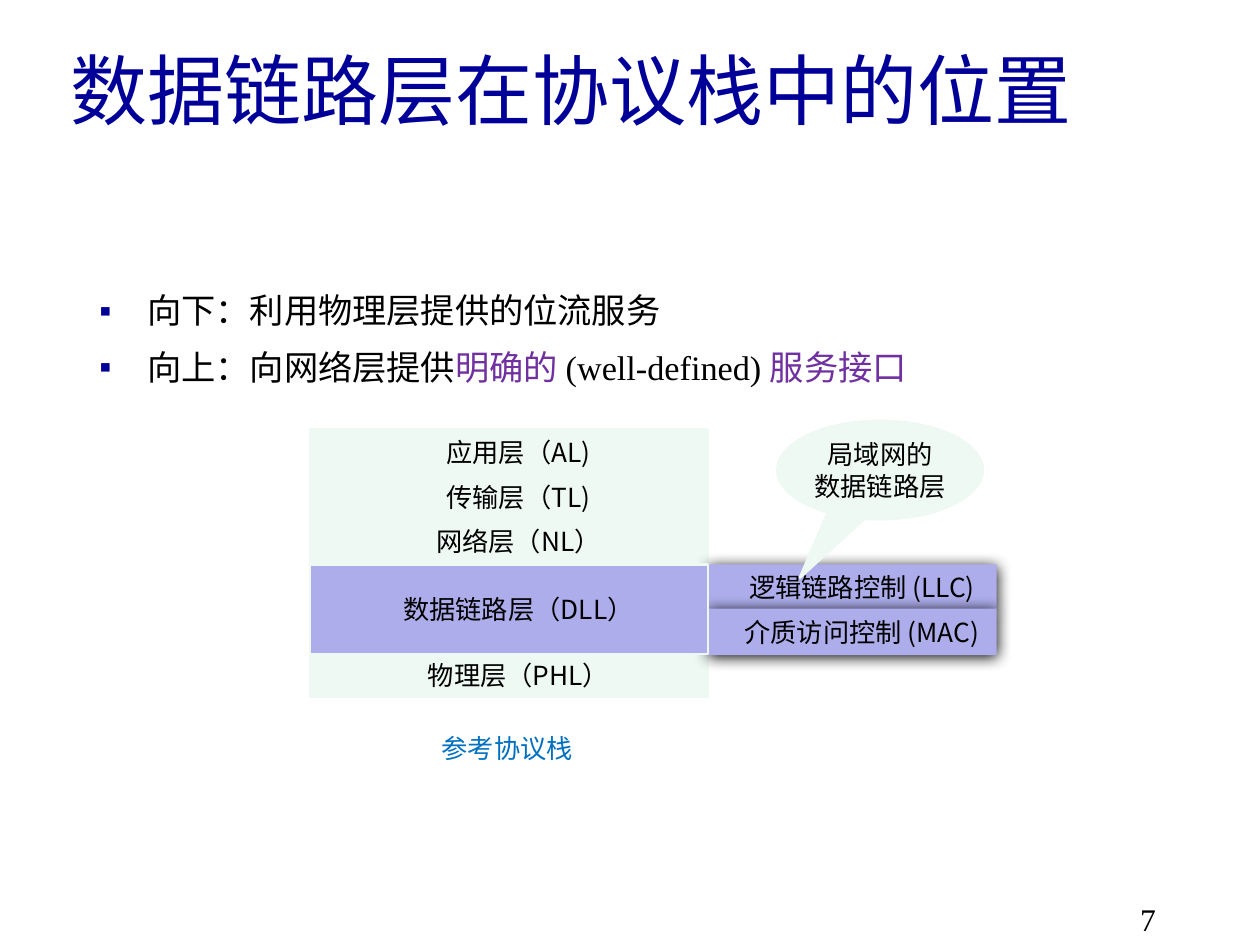
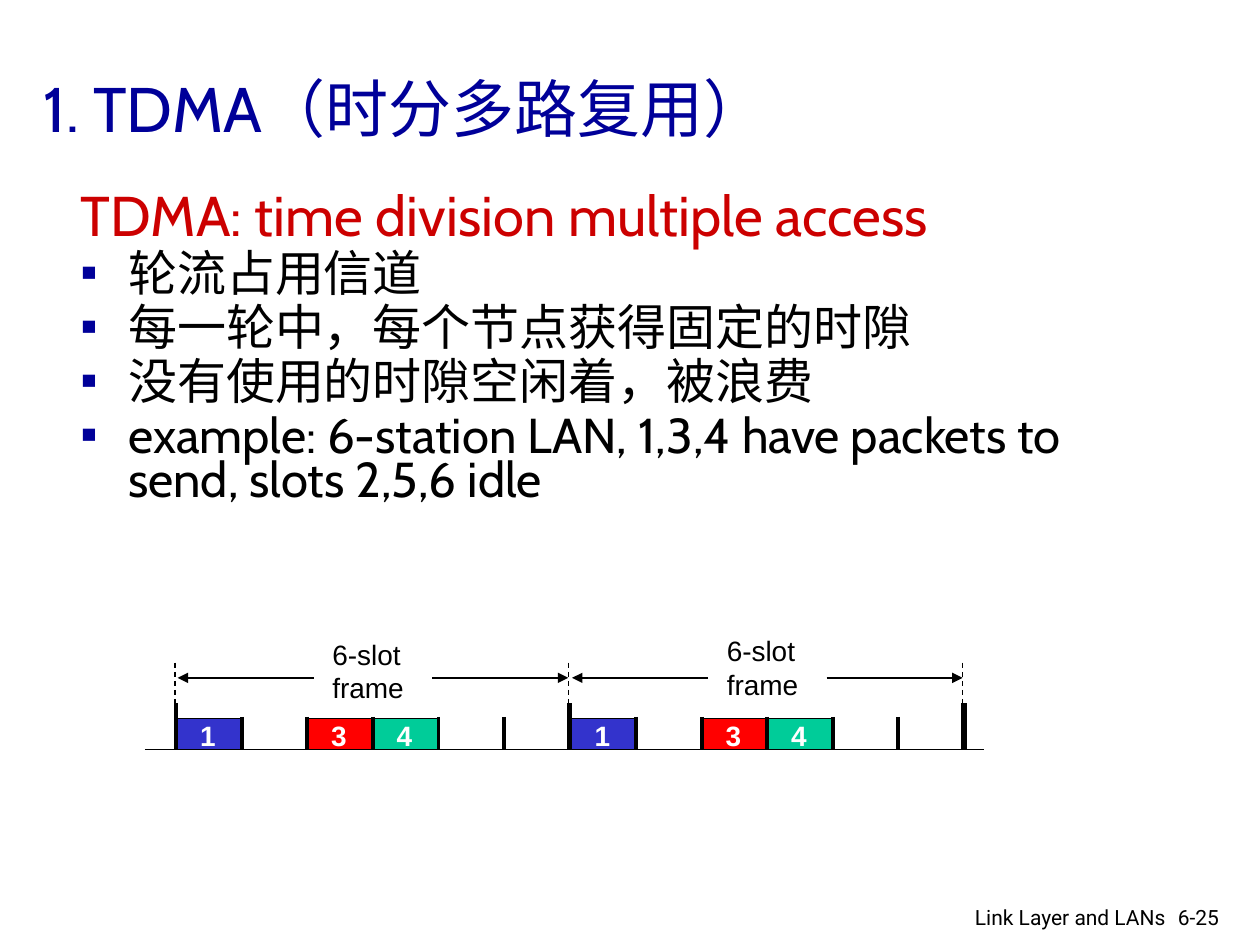
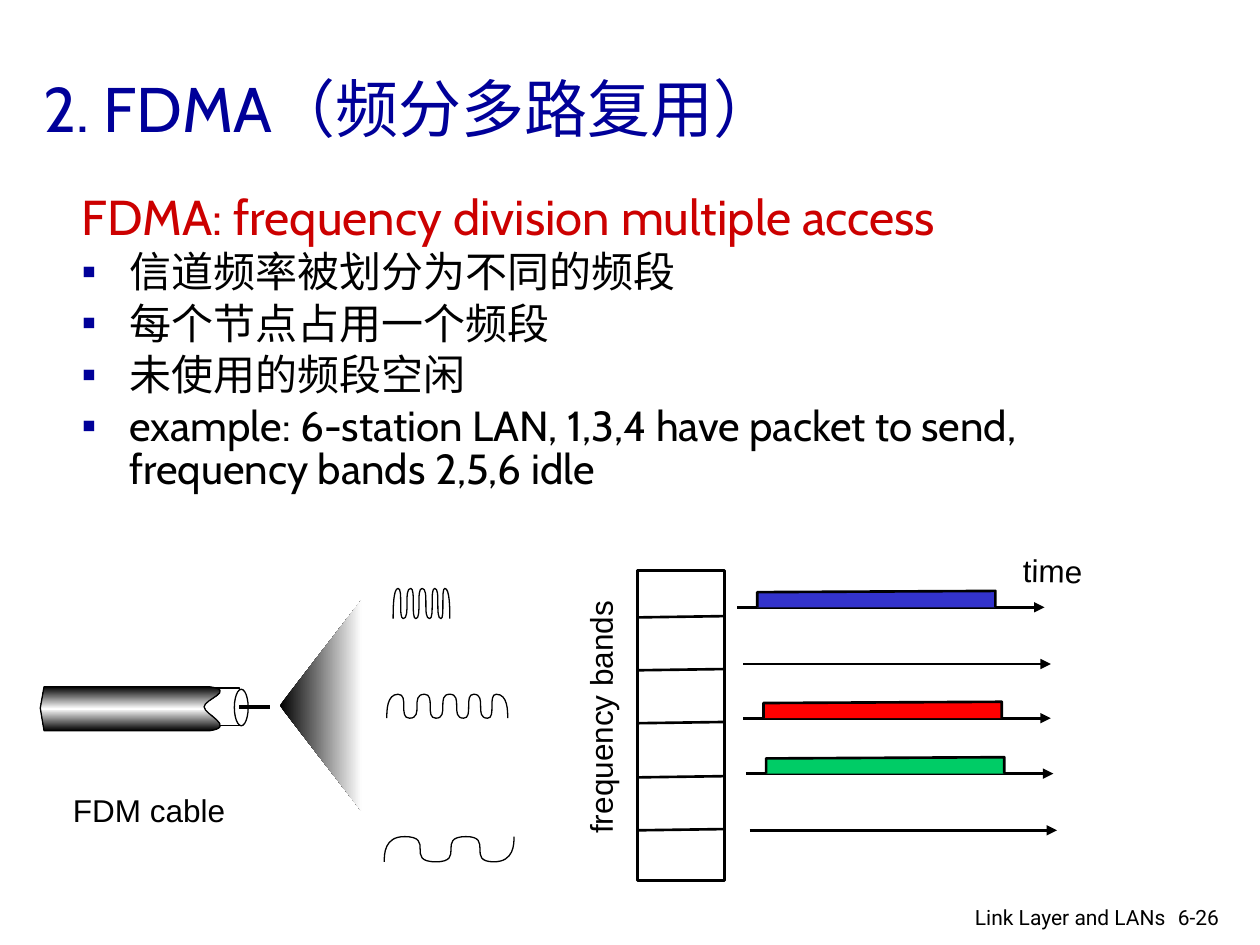
from copy import deepcopy

from lxml import etree
from pptx import Presentation
from pptx.dml.color import RGBColor
from pptx.enum.dml import MSO_LINE
from pptx.enum.shapes import MSO_CONNECTOR, MSO_SHAPE
from pptx.enum.text import MSO_ANCHOR, MSO_AUTO_SIZE, PP_ALIGN
from pptx.oxml.ns import qn
from pptx.util import Inches, Pt

RECT, OVAL = MSO_SHAPE.RECTANGLE, MSO_SHAPE.OVAL
CALLOUT = MSO_SHAPE.OVAL_CALLOUT
STRAIGHT, DASH = MSO_CONNECTOR.STRAIGHT, MSO_LINE.DASH
LEFT, CENTER, RIGHT = PP_ALIGN.LEFT, PP_ALIGN.CENTER, PP_ALIGN.RIGHT
TOP, MIDDLE = MSO_ANCHOR.TOP, MSO_ANCHOR.MIDDLE
FIT = MSO_AUTO_SIZE.SHAPE_TO_FIT_TEXT

BLACK = RGBColor(0x00, 0x00, 0x00)
WHITE = RGBColor(0xFF, 0xFF, 0xFF)
NAVY = RGBColor(0x00, 0x00, 0x99)
MINT = RGBColor(0xEE, 0xF9, 0xF4)
LILAC = RGBColor(0xAD, 0xAD, 0xEB)
PURPLE = RGBColor(0x70, 0x30, 0xA0)
SKY = RGBColor(0x00, 0x70, 0xC0)
CRIMSON = RGBColor(0xCC, 0x00, 0x00)
BLUE = RGBColor(0x33, 0x33, 0xCC)
RED = RGBColor(0xFF, 0x00, 0x00)
TEAL = RGBColor(0x00, 0xCC, 0x99)
GREEN = RGBColor(0x00, 0xCC, 0x66)

HAN, CABIN, ARIAL = "Noto Sans CJK SC", "Cabin", "Arial"
TIMES, ROBOTO = "Times New Roman", "Roboto"


def add(parent, tag, **attrs):
    return etree.SubElement(parent, qn(tag), attrs)


class Deck:
    def __init__(self):
        self.prs = Presentation()
        self.prs.slide_width, self.prs.slide_height = Inches(10), Inches(7.5)
        self.slide = None

    def page(self, title, box, size, font):
        self.slide = self.prs.slides.add_slide(self.prs.slide_layouts[6])
        self.text(title, box, size, font, NAVY, anchor=MIDDLE)

    def style(self, run, size, font, color, bold=False):
        run.font.size, run.font.name, run.font.bold = Pt(size), font, bold
        run.font.color.rgb = color
        add(run.font._element, "a:ea", typeface=HAN)

    def fill_text(self, frame, text, size, font, color, align, bold=False):
        frame.text = text
        for para in frame.paragraphs:
            para.alignment = align
            for run in para.runs:
                self.style(run, size, font, color, bold)

    def text(self, text, box, size, font, color=BLACK, align=LEFT, anchor=TOP,
             wrap=True, bold=False, turn=0):
        shape = self.slide.shapes.add_textbox(*map(Inches, box))
        shape.rotation = turn
        frame = shape.text_frame
        frame.word_wrap, frame.vertical_anchor = wrap, anchor
        if not wrap:
            frame.auto_size = FIT
        self.fill_text(frame, text, size, font, color, align, bold)

    def body(self, box, size, font, spacing, items, head=None):
        """Bulleted items, each a list of (text, colour), under an optional red head."""
        frame = self.slide.shapes.add_textbox(*map(Inches, box)).text_frame
        frame.word_wrap = True
        rows = [([(head, CRIMSON)], size + 4, False)] if head else []
        rows += [(item, size, True) for item in items]
        for index, (parts, points, bullet) in enumerate(rows):
            para = frame.add_paragraph() if index else frame.paragraphs[0]
            props = para._p.get_or_add_pPr()
            props.set("marL", str(Inches(0.38)))
            props.set("indent", str(Inches(-0.38)))
            if bullet:
                add(add(props, "a:buClr"), "a:srgbClr", val=str(NAVY))
                add(props, "a:buFont", typeface=ARIAL)
                add(props, "a:buChar", char="▪")
            para.line_spacing = spacing
            para.space_before = Pt(points * 0.2 if index else 0)
            for words, color in parts:
                run = para.add_run()
                run.text = words
                self.style(run, points, font, color)

    def paint(self, shape, fill, line, width):
        shape.shadow.inherit = False
        if fill is None:
            shape.fill.background()
        elif isinstance(fill, list):
            self.blend(shape, fill)
        else:
            shape.fill.solid()
            shape.fill.fore_color.rgb = fill
        if line is None:
            shape.line.fill.background()
        else:
            shape.line.color.rgb, shape.line.width = line, Pt(width)

    def blend(self, shape, colors):
        """Gradient with equally spaced colours: two run across, three run down."""
        shape.fill.gradient()
        shape.fill.gradient_angle = 0 if len(colors) == 2 else 90
        stops = shape._element.spPr.find(qn("a:gradFill")).find(qn("a:gsLst"))
        while len(stops) < len(colors):
            stops.append(deepcopy(stops[0]))
        for index, stop in enumerate(shape.fill.gradient_stops):
            stop.color.rgb = colors[index]
            stop.position = index / (len(colors) - 1)

    def shape(self, kind, box, fill, line=BLACK, width=0.75):
        shape = self.slide.shapes.add_shape(kind, *map(Inches, box))
        self.paint(shape, fill, line, width)
        return shape

    def label(self, kind, box, fill, text, line=MINT, indent=0.15):
        shape = self.shape(kind, box, fill, line, 1.5)
        frame = shape.text_frame
        frame.margin_left = frame.margin_right = 0
        frame.margin_top = frame.margin_bottom = 0
        frame.word_wrap, frame.vertical_anchor = False, MIDDLE
        self.fill_text(frame, text, 15, HAN, BLACK, CENTER)
        for para in frame.paragraphs:
            para._p.get_or_add_pPr().set("marL", str(Inches(indent)))
        return shape

    def shade(self, shape):
        effects = shape._element.spPr.find(qn("a:effectLst"))
        outer = add(effects, "a:outerShdw", blurRad=str(Pt(8.5)),
                    dist=str(Pt(1)), dir="5400000", rotWithShape="0")
        add(outer, "a:srgbClr", val=str(BLACK))

    def line(self, x1, y1, x2, y2, width=0.75, arrow=False, dash=False):
        line = self.slide.shapes.add_connector(
            STRAIGHT, *map(Inches, (x1, y1, x2, y2)))
        line.line.color.rgb, line.line.width = BLACK, Pt(width)
        if dash:
            line.line.dash_style = DASH
        if arrow:
            add(line.line._get_or_add_ln(), "a:tailEnd", type="triangle")
        add(line._element.spPr, "a:effectLst")

    def free(self, start, steps, fill=None, line=BLACK, width=0.75, close=False):
        """Outline whose steps hold one point for a line, three for a cubic curve."""
        ends = [(Inches(x), Inches(y)) for x, y in (step[-1] for step in steps)]
        builder = self.slide.shapes.build_freeform(*map(Inches, start), scale=1.0)
        builder.add_line_segments(ends, close=close)
        shape = builder.convert_to_shape()
        self.paint(shape, fill, line, width)
        edges = list(shape._element.spPr.iter(qn("a:lnTo")))
        for edge, step in zip(edges, steps):
            if len(step) == 3:
                bend = etree.Element(qn("a:cubicBezTo"))
                for x, y in step:
                    add(bend, "a:pt", x=str(Inches(x) - shape.left),
                        y=str(Inches(y) - shape.top))
                edge.getparent().replace(edge, bend)

    def wave(self, turns, top, low):
        """S-curves between low and top, turning at the given x places."""
        spots = [(x, top if i % 2 else low) for i, x in enumerate(turns)]
        steps, last = [], len(spots) - 2
        for i, ((x1, y1), (x2, y2)) in enumerate(zip(spots, spots[1:])):
            lift = 0.3 * (y2 - y1)
            near = (x2, y1) if i else (x1, y1 + lift)
            far = (x1, y2) if i < last else (x2, y2 - lift)
            steps.append((near, far, (x2, y2)))
        self.free(spots[0], steps)

    def footer(self, number):
        self.text(number, (9.25, 7.13, 0.6, 0.3), 12, ROBOTO)
        self.text("Link Layer and LANs", (6.97, 7.13, 2.38, 0.26), 12, ROBOTO,
                  align=RIGHT)


def stack_page(deck):
    deck.page("数据链路层在协议栈中的位置", (0.46, 0.08, 8.75, 1.25), 44, HAN)
    deck.text("7", (8.95, 7.09, 0.74, 0.5), 18, TIMES)
    layers = [(3.41, "应用层（AL)"), (3.77, "传输层（TL)"),
              (4.12, "网络层（NL）"), (5.18, "物理层（PHL）")]
    for top, name in layers:
        deck.label(RECT, (2.46, top, 3.16, 0.35), MINT, name)
    deck.text("参考协议栈", (2.83, 5.76, 2.39, 0.35), 15, HAN, SKY, CENTER)
    for top, tall, name in ((4.48, 0.36, "逻辑链路控制 (LLC)"),
                            (4.83, 0.37, "介质访问控制 (MAC)")):
        deck.shade(deck.label(RECT, (5.62, top, 2.29, tall), LILAC, name, None))
    deck.label(RECT, (2.46, 4.48, 3.16, 0.71), LILAC, "数据链路层（DLL）")
    bubble = deck.label(CALLOUT, (6.17, 3.34, 1.63, 0.78), MINT,
                        "局域网的\n数据链路层", indent=0)
    bubble.adjustments[0], bubble.adjustments[1] = -0.39, 1.095
    deck.body((0.69, 2.18, 8.62, 0.98), 19.6, TIMES, Pt(28.5), [
        [("向下：利用物理层提供的位流服务", BLACK)],
        [("向上：向网络层提供", BLACK), ("明确的 ", PURPLE),
         ("(well-defined) ", BLACK), ("服务接口", PURPLE)]])


def access_page(deck, title, box, size, spacing, head, items, number):
    deck.page(title, (0.25, 0.23, 9.44, 1.25), 36, CABIN)
    deck.body(box, size, CABIN, spacing, [[(item, BLACK)] for item in items], head)
    deck.footer(number)


def tdma_page(deck):
    access_page(
        deck, "1. TDMA（时分多路复用）", (0.54, 1.51, 8.5, 3.2), 28, 0.75,
        "TDMA: time division multiple access",
        ["轮流占用信道", "每一轮中，每个节点获得固定的时隙",
         "没有使用的时隙空闲着，被浪费",
         "example: 6-station LAN, 1,3,4 have packets to send, slots 2,5,6 idle"],
        "6-25")
    slot, base = 0.52, 5.95
    deck.line(1.15, base, 7.81, base)
    for start, top in ((1.39, 5.01), (4.52, 4.98)):
        for index, name, color in ((0, "1", BLUE), (2, "3", RED), (3, "4", TEAL)):
            left = start + index * slot
            deck.shape(RECT, (left, 5.7, slot, 0.25), color)
            deck.text(name, (left + 0.1, 5.65, 0.32, 0.37), 16, ARIAL, WHITE,
                      wrap=False, bold=True)
        for index in range(1, 6):
            tick = start + 0.01 + index * slot
            deck.line(tick, 5.69, tick, base, 2.25)
        deck.text("6-slot\nframe", (start + 1.15, top, 0.77, 0.64), 16, ARIAL,
                  wrap=False)
        for near, far in ((2.04, 3.12), (1.1, 0.02)):
            deck.line(start + near, 5.38, start + far, 5.38, arrow=True)
    for edge, width in ((1.4, 2.25), (4.52, 3), (7.65, 3)):
        deck.line(edge, 5.58, edge, base, width)
        deck.line(edge - 0.01, 5.26, edge - 0.01, 5.59, dash=True)


def draw_cable(deck):
    deck.free((2.87, 4.76), [[(2.22, 5.6)], [(2.87, 6.44)]], [BLACK, WHITE], None,
              close=True)
    deck.shape(RECT, (1.61, 5.46, 0.29, 0.3), WHITE)
    deck.free((0.35, 5.45),
              [[(0.32, 5.62)], [(0.35, 5.8)], [(1.66, 5.8)],
               [(1.88, 5.77), (1.62, 5.67), (1.62, 5.61)],
               [(1.62, 5.55), (1.88, 5.48), (1.66, 5.45)]],
              [BLACK, WHITE, BLACK], close=True)
    deck.shape(OVAL, (1.86, 5.47, 0.11, 0.29), WHITE)
    deck.line(1.9, 5.61, 2.14, 5.61, 2.25)
    deck.text("FDM cable", (0.48, 6.23, 1.41, 0.4), 18, ARIAL, wrap=False)


def fdma_page(deck):
    access_page(
        deck, "2. FDMA（频分多路复用）", (0.55, 1.5, 8.99, 5.08), 24, 0.85,
        "FDMA: frequency division multiple access",
        ["信道频率被划分为不同的频段", "每个节点占用一个频段", "未使用的频段空闲",
         "example: 6-station LAN, 1,3,4 have packet to send, "
         "frequency bands 2,5,6 idle"],
        "6-26")
    deck.shape(RECT, (5.06, 4.53, 0.69, 2.46), WHITE, width=1.5)
    for y in (4.9, 5.32, 5.74, 6.17, 6.59):
        deck.line(5.06, y, 5.75, y - 0.01, 1.5)
    bands = [(5.85, 4.82, BLUE), (5.9, 5.27, None), (5.9, 5.7, RED),
             (5.92, 6.14, GREEN), (5.95, 6.59, None)]
    for left, y, color in bands:
        deck.line(left, y, left + 2.44, y, 1.5, arrow=True)
        if color:
            start, end = left + 0.16, left + 2.05
            deck.free((start, y), [[(start, y - 0.12)], [(end, y - 0.13)], [(end, y)]],
                      color, width=1.5)
    deck.text("frequency bands", (3.74, 5.49, 2.05, 0.4), 18, ARIAL, wrap=False,
              turn=270)
    deck.text("time", (8.02, 4.33, 0.67, 0.4), 18, ARIAL, wrap=False, turn=1.1)
    draw_cable(deck)
    deck.wave((3.12, 3.16, 3.2, 3.26, 3.3, 3.35, 3.41, 3.45, 3.5, 3.53, 3.57),
              4.67, 4.91)
    deck.wave((3.07, 3.16, 3.25, 3.37, 3.46, 3.57, 3.68, 3.76, 3.87, 3.94, 4.03),
              5.51, 5.7)
    deck.wave((3.05, 3.21, 3.46, 3.7, 3.92, 4.08), 6.64, 6.84)


def main():
    deck = Deck()
    stack_page(deck)
    tdma_page(deck)
    fdma_page(deck)
    deck.prs.save("out.pptx")


if __name__ == "__main__":
    main()
